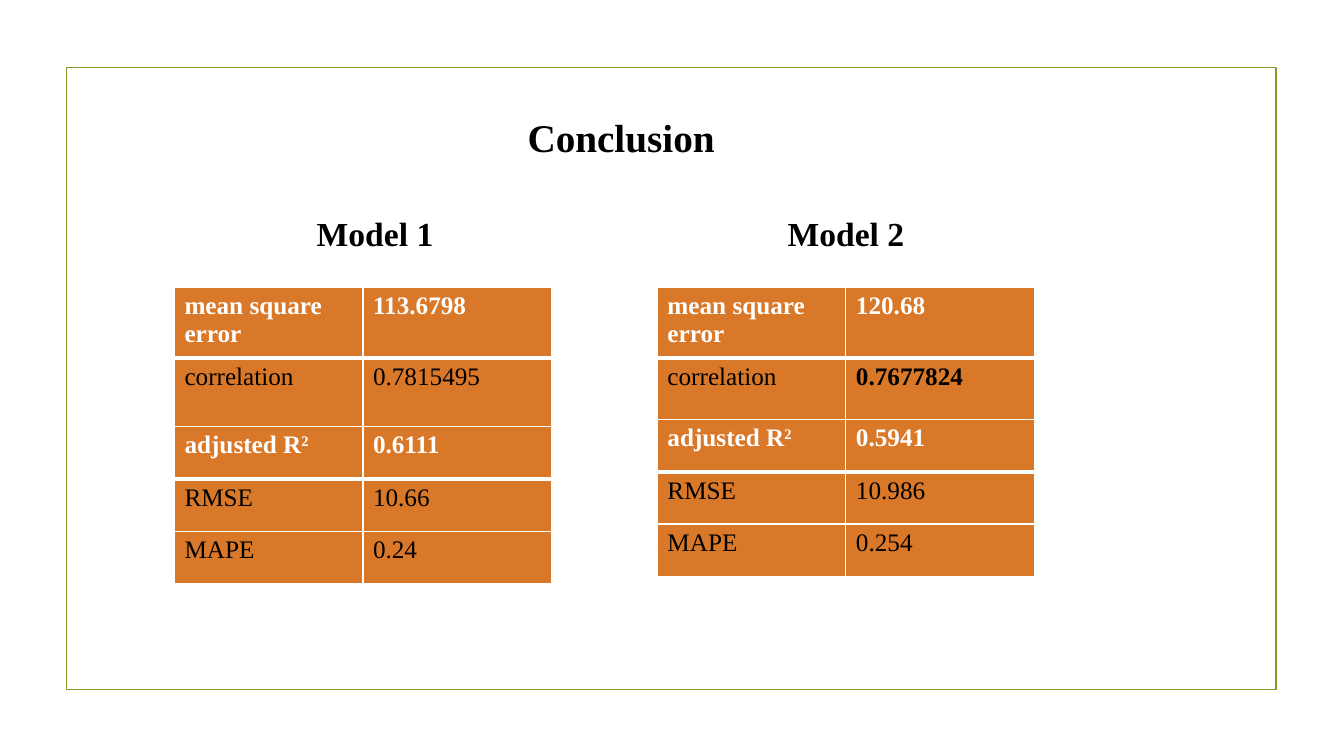
from lxml import etree
from pptx import Presentation
from pptx.dml.color import RGBColor
from pptx.enum.shapes import MSO_SHAPE
from pptx.enum.text import MSO_ANCHOR, PP_ALIGN
from pptx.oxml.ns import qn
from pptx.util import Pt

RECT = MSO_SHAPE.RECTANGLE
MIDDLE = MSO_ANCHOR.MIDDLE
CENTER = PP_ALIGN.CENTER

PX = 9144  # 100 px to the inch
FONT = "Times New Roman"
BLACK = RGBColor(0x00, 0x00, 0x00)
WHITE = RGBColor(0xFF, 0xFF, 0xFF)
ORANGE = RGBColor(0xD9, 0x78, 0x28)
GREEN = RGBColor(0x83, 0x99, 0x2A)

COL = 187
TOP = 285
LOW_ROWS = [52, 52, 52]

# name, left, heading left, top row heights, lower table top, values, bold row
MODELS = [
    ("Model 1", 173, 304, [68, 68], 423,
     ["113.6798", "0.7815495", "0.6111", "10.66", "0.24"], None),
    ("Model 2", 652, 771, [63, 68], 416,
     ["120.68", "0.7677824", "0.5941", "10.986", "0.254"], 1),
]
LABELS = ["mean square error", "correlation", "adjusted R", "RMSE", "MAPE"]


def box(*sides):
    return [side * PX for side in sides]


def style(para, size, color, bold):
    for run in para.runs:
        font = run.font
        font.name, font.size, font.bold = FONT, Pt(size), bold
        font.color.rgb = color


def add_frame(slide):
    frame = slide.shapes.add_shape(RECT, *box(66, 67, 1200, 617))
    frame.shadow.inherit = False
    frame.fill.background()
    frame.line.color.rgb = GREEN
    frame.line.width = Pt(1.25)


def set_head(shape, text, place, size):
    shape.left, shape.top, shape.width, shape.height = box(*place)
    frame = shape.text_frame
    frame.text = text
    frame.word_wrap = False
    frame.vertical_anchor = MIDDLE
    para = frame.paragraphs[0]
    para.alignment = CENTER
    style(para, size, BLACK, True)


def set_edges(cell, base):
    props = cell._tc.get_or_add_tcPr()
    for tag, width in (("lnL", 1), ("lnR", 1), ("lnT", 1), ("lnB", base)):
        line = etree.SubElement(props, qn("a:" + tag), w=str(Pt(width)))
        fill = etree.SubElement(line, qn("a:solidFill"))
        etree.SubElement(fill, qn("a:srgbClr"), val=str(WHITE))


def set_cell(cell, text, head, bold):
    set_edges(cell, 3 if head else 1)
    cell.fill.solid()
    cell.fill.fore_color.rgb = ORANGE
    cell.text = text
    para = cell.text_frame.paragraphs[0]
    if text == "adjusted R":
        power = para.add_run()
        power.text = "2"
        power._r.get_or_add_rPr().set("baseline", "30000")
    style(para, 18, WHITE if head else BLACK, head or bold)


def add_grid(slide, left, top, heights, rows):
    place = box(left, top, 2 * COL, sum(heights))
    table = slide.shapes.add_table(len(rows), 2, *place).table
    table.horz_banding = False
    for col in table.columns:
        col.width = COL * PX
    for i, (label, value, bold) in enumerate(rows):
        table.rows[i].height = heights[i] * PX
        set_cell(table.cell(i, 0), label, i == 0, False)
        set_cell(table.cell(i, 1), value, i == 0, bold)


def main():
    prs = Presentation()
    prs.slide_width, prs.slide_height = box(1333, 750)
    slide = prs.slides.add_slide(prs.slide_layouts[5])

    # Frame and title
    add_frame(slide)
    set_head(slide.shapes.title, "Conclusion", (513, 107, 206, 57), 28)

    # Each model: heading and two stacked tables
    for name, left, head, heights, low, values, strong in MODELS:
        label = slide.shapes.add_textbox(*box(head, 206, 136, 50))
        set_head(label, name, (head, 206, 136, 50), 24)
        rows = [(text, value, i == strong)
                for i, (text, value) in enumerate(zip(LABELS, values))]
        add_grid(slide, left, TOP, heights, rows[:2])
        add_grid(slide, left, low, LOW_ROWS, rows[2:])

    prs.save("out.pptx")


if __name__ == "__main__":
    main()
